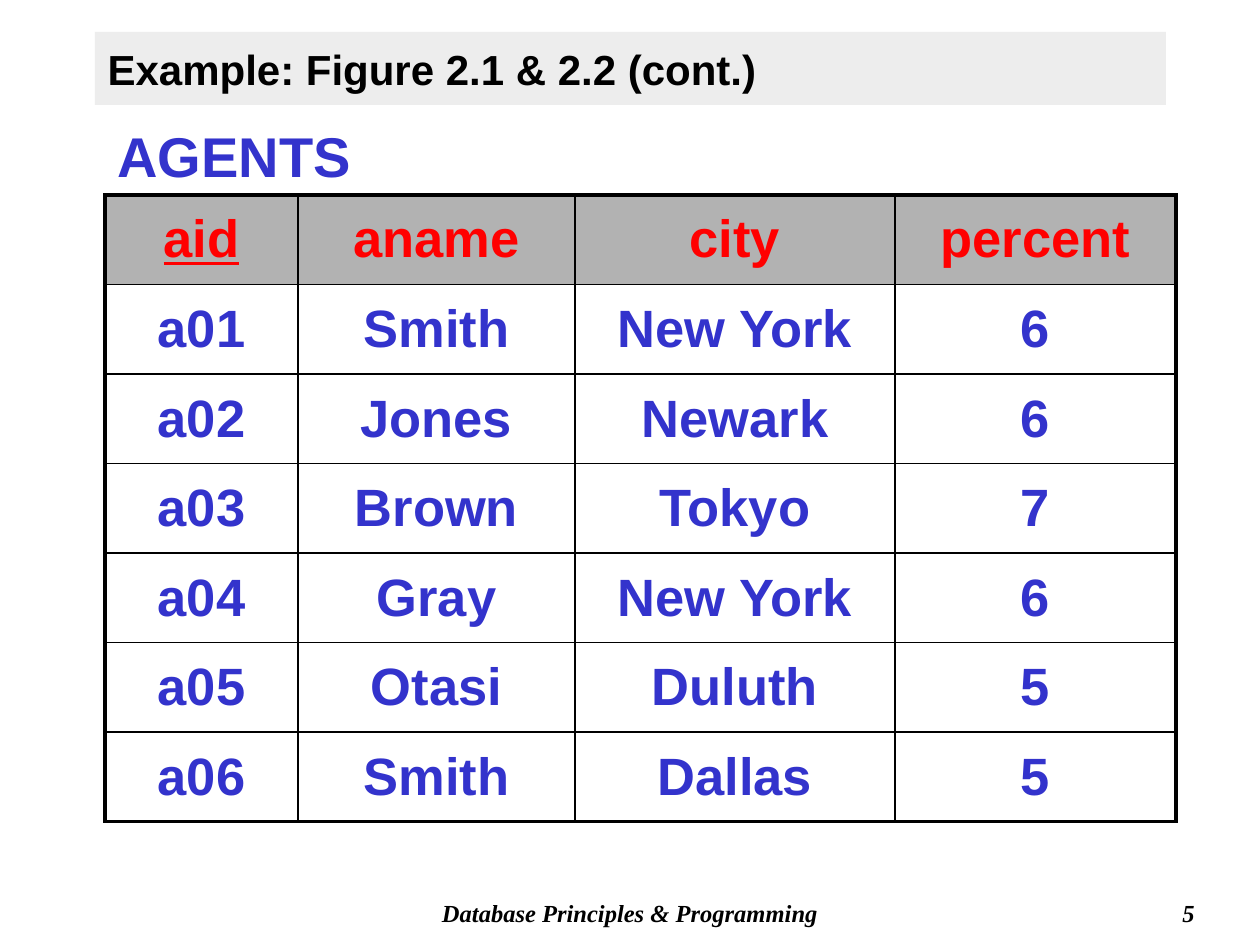
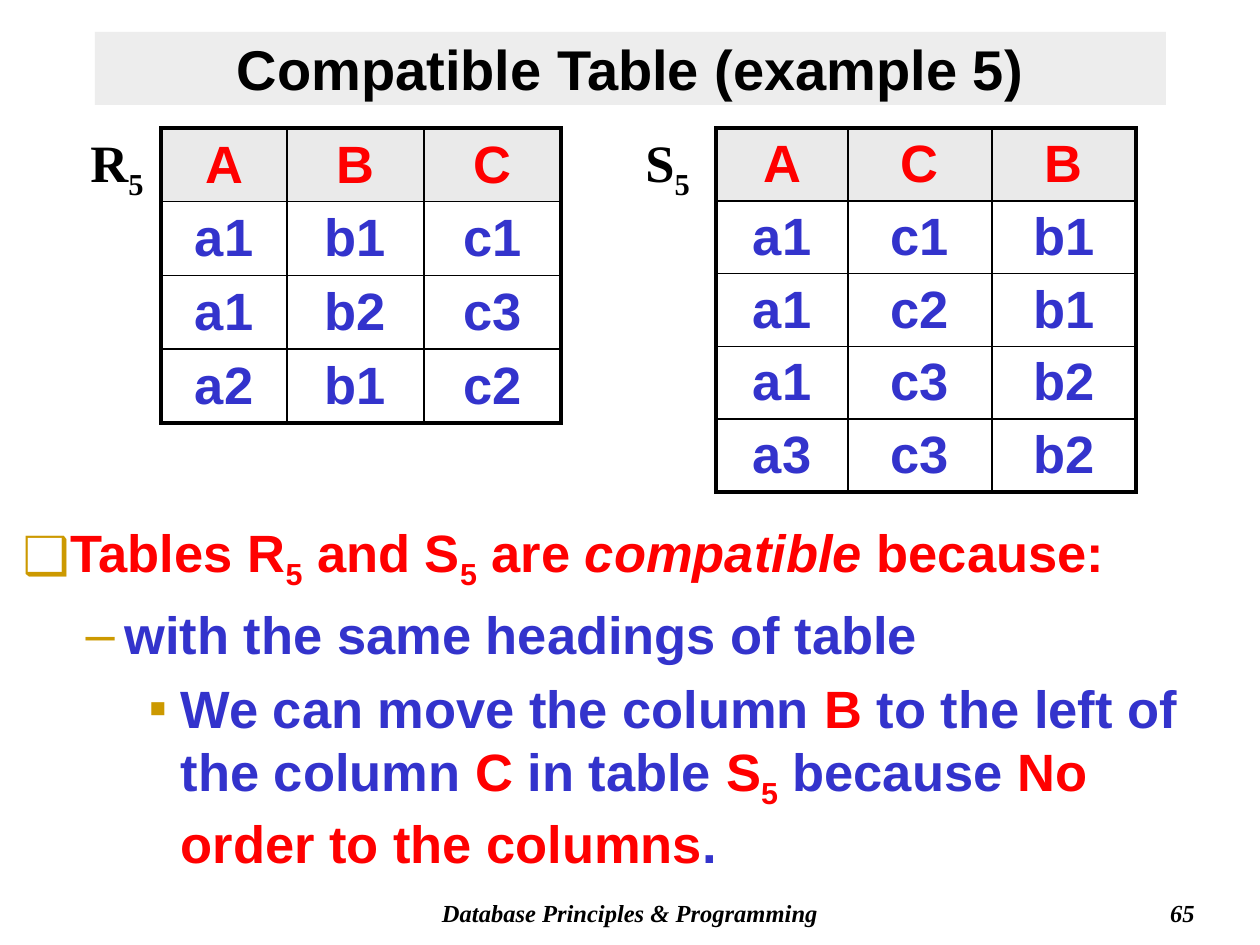
from lxml import etree
from pptx import Presentation
from pptx.dml.color import RGBColor
from pptx.enum.text import MSO_ANCHOR, MSO_AUTO_SIZE, PP_ALIGN
from pptx.oxml.ns import qn
from pptx.util import Emu, Pt

LEFT, CENTER, RIGHT = PP_ALIGN.LEFT, PP_ALIGN.CENTER, PP_ALIGN.RIGHT
MIDDLE, TOP = MSO_ANCHOR.MIDDLE, MSO_ANCHOR.TOP
NO_AUTOFIT = MSO_AUTO_SIZE.NONE

PX_PER_INCH = 126
SLIDE_SIZE = (1260, 945)
SANS, SERIF = "Arial", "Times New Roman"
COLORS = {
    "black": "000000", "white": "FFFFFF", "red": "FF0000", "blue": "3333CC",
    "gold": "CC9900", "band": "DDDDDD", "gray": "B2B2B2", "pale": "EAEAEA",
}
TITLE_AREA = (95, 32, 1071, 73)
BODY_AREA = (10, 514, 1225, 378)
FOOTER_AREA = (357, 892, 546, 42)
NUMBER_AREA = (945, 892, 262, 42)
FOOTER = "Database Principles & Programming"
TEXT_SIZE = 30
OUTER_LINE, INNER_LINE = 2.25, 1

AGENTS = {
    "at": (105, 195), "columns": (193, 277, 320, 281), "height": 627,
    "header_fill": "gray", "key": "aid", "inset": 6,
    "rows": [
        ("aid", "aname", "city", "percent"),
        ("a01", "Smith", "New York", "6"),
        ("a02", "Jones", "Newark", "6"),
        ("a03", "Brown", "Tokyo", "7"),
        ("a04", "Gray", "New York", "6"),
        ("a05", "Otasi", "Duluth", "5"),
        ("a06", "Smith", "Dallas", "5"),
    ],
}
TABLE_R = {
    "at": (161, 128), "columns": (126, 137, 137), "height": 295,
    "header_fill": "pale", "key": None, "inset": 0,
    "rows": [
        ("A", "B", "C"),
        ("a1", "b1", "c1"),
        ("a1", "b2", "c3"),
        ("a2", "b1", "c2"),
    ],
}
TABLE_S = {
    "at": (716, 128), "columns": (132, 144, 144), "height": 364,
    "header_fill": "pale", "key": None, "inset": 0,
    "rows": [
        ("A", "C", "B"),
        ("a1", "c1", "b1"),
        ("a1", "c2", "b1"),
        ("a1", "c3", "b2"),
        ("a3", "c3", "b2"),
    ],
}
RELATIONS = [("R", (78, 130, 105, 63), TABLE_R), ("S", (633, 130, 105, 63), TABLE_S)]

# Each level: bullet, text indent in px, hanging indent in px
LEVELS = [("❑", 48, 48), ("–", 102, 39), ("▪", 158, 32)]
# Each item: level, then runs of (text, colour, optional style)
REASONS = [
    (0, [("Tables R", "red"), ("5", "red", "sub"), (" and S", "red"), ("5", "red", "sub"),
         (" are ", "red"), ("compatible", "red", "italic"), (" because:", "red")]),
    (1, [("with the same headings of table", "blue")]),
    (2, [("We can move the column ", "blue"), ("B", "red"),
         (" to the left of the column ", "blue"), ("C", "red"), (" in table ", "blue"),
         ("S", "red"), ("5", "red", "sub"), (" because ", "blue"),
         ("No order to the columns", "red"), (".", "blue")]),
]


def px(length):
    return Emu(round(length * 914400 / PX_PER_INCH))


def rgb(name):
    return RGBColor.from_string(COLORS[name])


def place(shape, area):
    shape.left, shape.top, shape.width, shape.height = map(px, area)


def add_run(para, text, color, style=None, size=TEXT_SIZE, font=SANS):
    span = para.add_run()
    span.text = text
    span.font.name, span.font.size, span.font.bold = font, Pt(size), True
    span.font.color.rgb = rgb(color)
    if style == "italic":
        span.font.italic = True
    elif style == "underline":
        span.font.underline = True
    elif style == "sub":
        span._r.get_or_add_rPr().set("baseline", "-25000")


def add_text(page, area, runs, align=LEFT, inset=6, **look):
    box = page.shapes.add_textbox(*map(px, area))
    frame = box.text_frame
    frame.word_wrap = True
    frame.margin_top = frame.margin_bottom = px(inset)
    para = frame.paragraphs[0]
    para.alignment = align
    for run in runs:
        add_run(para, *run, **look)


def add_page(deck, layout, title, size, align, number):
    page = deck.slides.add_slide(deck.slide_layouts.get_by_name(layout))
    band = page.shapes.title
    place(band, TITLE_AREA)
    band.fill.solid()
    band.fill.fore_color.rgb = rgb("band")
    fill_color = band._element.spPr.find(".//" + qn("a:srgbClr"))
    etree.SubElement(fill_color, qn("a:alpha"), val="50000")
    band.text_frame.vertical_anchor = MIDDLE
    band.text_frame.auto_size = NO_AUTOFIT
    para = band.text_frame.paragraphs[0]
    para.alignment = align
    add_run(para, title, "black", size=size)
    for area, text, side in ((FOOTER_AREA, FOOTER, CENTER), (NUMBER_AREA, number, RIGHT)):
        add_text(page, area, [(text, "black", "italic")], side, size=14, font=SERIF)
    return page


def add_border(cell, side, width):
    line = etree.SubElement(cell._tc.get_or_add_tcPr(), qn("a:ln" + side), w=str(Pt(width)))
    fill = etree.SubElement(line, qn("a:solidFill"))
    etree.SubElement(fill, qn("a:srgbClr"), val=COLORS["black"])


def add_relation(page, spec_table):
    rows, columns = spec_table["rows"], spec_table["columns"]
    height = spec_table["height"]
    left, top = spec_table["at"]
    table = page.shapes.add_table(
        len(rows), len(columns), px(left), px(top), px(sum(columns)), px(height)).table
    table.first_row = table.horz_banding = False
    for column, width in zip(table.columns, columns):
        column.width = px(width)
    for r, values in enumerate(rows):
        table.rows[r].height = px(height / len(rows))
        for c, value in enumerate(values):
            cell = table.cell(r, c)
            cell.vertical_anchor = MIDDLE
            cell.margin_top = cell.margin_bottom = px(spec_table["inset"])
            outer_sides = {"L": c == 0, "R": c == len(columns) - 1,
                           "T": r == 0, "B": r == len(rows) - 1}
            for side, outer in outer_sides.items():
                add_border(cell, side, OUTER_LINE if outer else INNER_LINE)
            cell.fill.solid()
            cell.fill.fore_color.rgb = rgb("white" if r else spec_table["header_fill"])
            para = cell.text_frame.paragraphs[0]
            para.alignment = CENTER
            style = "underline" if value == spec_table["key"] else None
            add_run(para, value, "blue" if r else "red", style)


def add_bullet(para, level):
    mark, indent, hanging = LEVELS[level]
    para.level = level
    properties = para._p.get_or_add_pPr()
    properties.set("marL", str(px(indent)))
    properties.set("indent", str(px(-hanging)))
    color = etree.SubElement(properties, qn("a:buClr"))
    etree.SubElement(color, qn("a:srgbClr"), val=COLORS["gold"])
    etree.SubElement(properties, qn("a:buChar"), char=mark)


def fill_body(body, items):
    place(body, BODY_AREA)
    frame = body.text_frame
    frame.auto_size = NO_AUTOFIT
    frame.vertical_anchor = TOP
    for i, (level, runs) in enumerate(items):
        para = frame.add_paragraph() if i else frame.paragraphs[0]
        para.space_before = Pt(6 if i else 0)
        add_bullet(para, level)
        for run in runs:
            add_run(para, *run)


def main():
    deck = Presentation()
    deck.slide_width, deck.slide_height = map(px, SLIDE_SIZE)

    page = add_page(deck, "Title Only", "Example: Figure 2.1 & 2.2 (cont.)", 24, LEFT, "5")
    add_relation(page, AGENTS)
    add_text(page, (105, 116, 330, 79), [("AGENTS", "blue")], size=32)

    page = add_page(deck, "Title and Content", "Compatible Table (example 5)", 32, CENTER, "65")
    fill_body(page.placeholders[1], REASONS)
    for name, area, relation in RELATIONS:
        add_relation(page, relation)
        add_text(page, area, [(name, "black"), ("5", "black", "sub")], inset=0, font=SERIF)

    deck.save("out.pptx")


if __name__ == "__main__":
    main()
